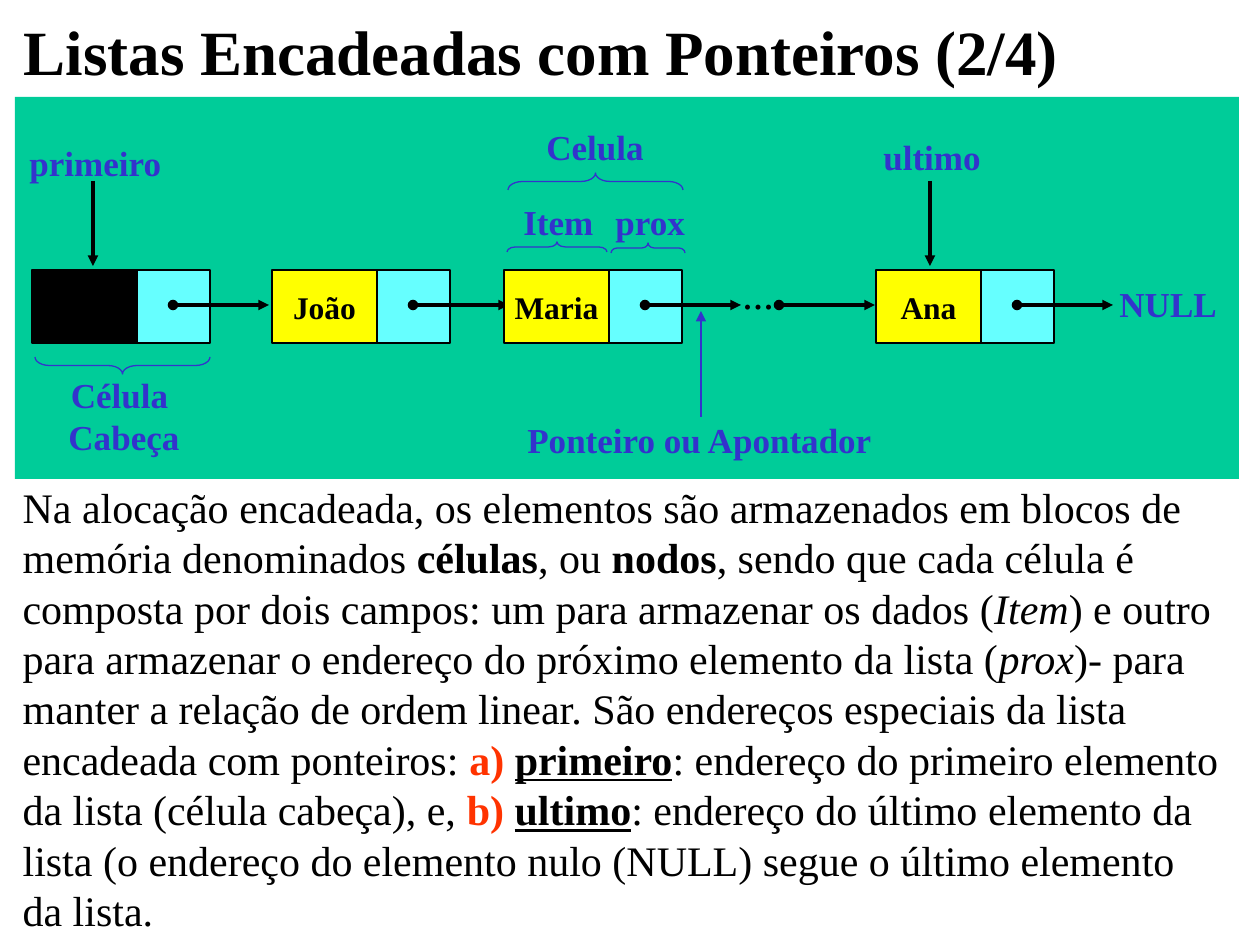
from dataclasses import dataclass

from lxml import etree
from pptx import Presentation
from pptx.dml.color import RGBColor
from pptx.enum.shapes import MSO_CONNECTOR, MSO_SHAPE
from pptx.enum.text import MSO_ANCHOR, MSO_AUTO_SIZE, PP_ALIGN
from pptx.oxml.ns import qn
from pptx.util import Emu, Pt

STRAIGHT = MSO_CONNECTOR.STRAIGHT
RECTANGLE, BRACE = MSO_SHAPE.RECTANGLE, MSO_SHAPE.LEFT_BRACE
TOP, MIDDLE = MSO_ANCHOR.TOP, MSO_ANCHOR.MIDDLE
LEFT, CENTER = PP_ALIGN.LEFT, PP_ALIGN.CENTER
FIT = MSO_AUTO_SIZE.SHAPE_TO_FIT_TEXT
UP, DOWN = 90, 270


@dataclass(frozen=True)
class Theme:
    font: str = "Times New Roman"
    ink: str = "000000"
    note: str = "3333CC"
    accent: str = "FF3300"
    panel: str = "00CC99"
    item: str = "FFFF00"
    prox: str = "66FFFF"
    title_pt: int = 36
    body_pt: int = 24
    label_pt: int = 20
    cell_pt: int = 18


THEME = Theme()

TITLE = "Listas Encadeadas com Ponteiros (2/4)"
TITLE_BOX = (11, 21, 1061, 73)
BODY_BOX = (10, 475, 1232, 466)
PANEL_BOX = (15, 97, 1224, 382)

# Each line is a list of (text, style): b bold, i italic, u underlined, a accent
BODY = [
    [("Na alocação encadeada, os elementos são armazenados em blocos de", "")],
    [("memória denominados ", ""), ("células", "b"), (", ou ", ""), ("nodos", "b"),
     (", sendo que cada célula é", "")],
    [("composta por dois campos: um para armazenar os dados (", ""), ("Item", "i"),
     (") e outro", "")],
    [("para armazenar o endereço do próximo elemento da lista (", ""), ("prox", "i"),
     (")- para", "")],
    [("manter a relação de ordem linear. São endereços especiais da lista", "")],
    [("encadeada com ponteiros: ", ""), ("a) ", "ba"), ("primeiro", "bu"),
     (": endereço do primeiro elemento", "")],
    [("da lista (célula cabeça), e, ", ""), ("b) ", "ba"), ("ultimo", "bu"),
     (": endereço do último elemento da", "")],
    [("lista (o endereço do elemento nulo (NULL) segue o último elemento", "")],
    [("da lista.", "")],
]

# Linked cells: left, item text, item colour
CELLS = [
    (32, "", THEME.ink),
    (272, "João", THEME.item),
    (504, "Maria", THEME.item),
    (876, "Ana", THEME.item),
]
CELL_TOP, CELL_HEIGHT, ITEM_WIDTH, PROX_WIDTH = 270, 73, 105, 73
LINK_OFFSET, LINK_LENGTH, LINK_Y = ITEM_WIDTH + 36, 96, 305
LINK_AFTER_DOTS = 779

# Labels: lines, left, top, width, height, alignment
LABELS = [
    (["primeiro"], 17, 135, 162, 55, LEFT),
    (["ultimo"], 871, 129, 130, 55, LEFT),
    (["Celula"], 530, 119, 130, 55, CENTER),
    (["Item"], 511, 194, 125, 55, LEFT),
    (["prox"], 603, 194, 98, 55, LEFT),
    (["NULL"], 1107, 276, 130, 55, LEFT),
    (["Ponteiro ou Apontador"], 515, 412, 380, 55, LEFT),
    (["Célula ", "Cabeça"], 54, 367, 140, 97, CENTER),
]
DOTS, DOTS_BOX = "...", (730, 261, 60, 63)

# Braces: left, top, length, depth, direction of the tip
BRACES = [
    (508, 173, 175, 17, UP),
    (507, 242, 100, 10, UP),
    (611, 243, 74, 10, UP),
    (35, 357, 175, 17, DOWN),
]

# Vertical arrows: x, start y, end y, colour, width in points
MARKERS = [
    (93, 181, 266, THEME.ink, 2),
    (930, 181, 266, THEME.ink, 2),
    (701, 417, 311, THEME.note, 1),
]


def px(value):
    return Emu(round(value * 914400 / 126))


def rgb(color):
    return RGBColor.from_string(color)


def set_font(font, size, color, bold=False):
    font.name, font.size, font.bold = THEME.font, Pt(size), bold
    font.color.rgb = rgb(color)


def place(shape, box):
    shape.left, shape.top, shape.width, shape.height = map(px, box)


def add_preset(shapes, kind, box, fill=None, line=None):
    shape = shapes.add_shape(kind, *map(px, box))
    shape.shadow.inherit = False
    if fill:
        shape.fill.solid()
        shape.fill.fore_color.rgb = rgb(fill)
    else:
        shape.fill.background()
    if line:
        shape.line.color.rgb = rgb(line)
        shape.line.width = Pt(0.75)
    else:
        shape.line.fill.background()
    return shape


def add_label(shapes, lines, box, align, size, color, bold=True):
    frame = shapes.add_textbox(*map(px, box)).text_frame
    frame.word_wrap = False
    frame.auto_size = FIT
    frame.text = "\n".join(lines)
    for paragraph in frame.paragraphs:
        paragraph.alignment = align
        set_font(paragraph.font, size, color, bold)


def add_arrow(shapes, start, end, color, width, dotted_start=False):
    arrow = shapes.add_connector(STRAIGHT, *map(px, start + end))
    arrow.line.color.rgb = rgb(color)
    arrow.line.width = Pt(width)
    line = arrow.line._get_or_add_ln()
    if dotted_start:
        etree.SubElement(line, qn("a:headEnd"), type="oval")
    etree.SubElement(line, qn("a:tailEnd"), type="triangle")
    etree.SubElement(arrow._element.spPr, qn("a:effectLst"))


def add_link(shapes, x):
    add_arrow(shapes, (x, LINK_Y), (x + LINK_LENGTH, LINK_Y), THEME.ink, 2, True)


def add_cell(shapes, left, text, color):
    prox_box = (left + ITEM_WIDTH, CELL_TOP, PROX_WIDTH, CELL_HEIGHT)
    add_preset(shapes, RECTANGLE, prox_box, THEME.prox, THEME.ink)
    item_box = (left, CELL_TOP, ITEM_WIDTH, CELL_HEIGHT)
    item = add_preset(shapes, RECTANGLE, item_box, color, THEME.ink)
    if text:
        frame = item.text_frame
        frame.word_wrap = False
        frame.vertical_anchor = MIDDLE
        frame.text = text
        frame.paragraphs[0].alignment = CENTER
        set_font(frame.paragraphs[0].font, THEME.cell_pt, THEME.ink, True)
    add_link(shapes, left + LINK_OFFSET)


def add_brace(shapes, left, top, length, depth, direction):
    """Place an upright brace so that its turned outline fills the given area."""
    shift = (length - depth) / 2
    box = (left + shift, top - shift, depth, length)
    brace = add_preset(shapes, BRACE, box, line=THEME.note)
    brace.rotation = direction
    brace.adjustments[0] = length / 12 / depth


def fill_title(title):
    place(title, TITLE_BOX)
    frame = title.text_frame
    frame.text = TITLE
    frame.word_wrap = False
    frame.auto_size = FIT
    frame.vertical_anchor = TOP
    heading = frame.paragraphs[0]
    heading.alignment, heading.line_spacing = LEFT, 0.8
    set_font(heading.font, THEME.title_pt, THEME.ink, True)


def fill_body(body):
    place(body, BODY_BOX)
    frame = body.text_frame
    frame.word_wrap = False
    frame.auto_size = FIT
    for index, line in enumerate(BODY):
        paragraph = frame.add_paragraph() if index else frame.paragraphs[0]
        properties = paragraph._p.get_or_add_pPr()
        properties.set("marL", "0")
        properties.set("indent", "0")
        etree.SubElement(properties, qn("a:buNone"))
        paragraph.space_before = Pt(0)
        set_font(paragraph.font, THEME.body_pt, THEME.ink)
        for text, style in line:
            run = paragraph.add_run()
            run.text = text
            if style:
                run.font.bold = "b" in style
                run.font.italic = "i" in style
                run.font.underline = "u" in style
            if "a" in style:
                run.font.color.rgb = rgb(THEME.accent)


def main():
    deck = Presentation()
    deck.slide_width, deck.slide_height = px(1260), px(945)
    slide = deck.slides.add_slide(deck.slide_layouts[1])
    shapes = slide.shapes
    fill_title(shapes.title)
    fill_body(slide.placeholders[1])
    add_preset(shapes, RECTANGLE, PANEL_BOX, THEME.panel)
    for cell in CELLS:
        add_cell(shapes, *cell)
    add_link(shapes, LINK_AFTER_DOTS)
    add_label(shapes, [DOTS], DOTS_BOX, LEFT, THEME.body_pt, THEME.ink, False)
    for lines, *box, align in LABELS:
        add_label(shapes, lines, box, align, THEME.label_pt, THEME.note)
    for brace in BRACES:
        add_brace(shapes, *brace)
    for x, start, end, color, width in MARKERS:
        add_arrow(shapes, (x, start), (x, end), color, width)
    deck.save("out.pptx")


if __name__ == "__main__":
    main()
